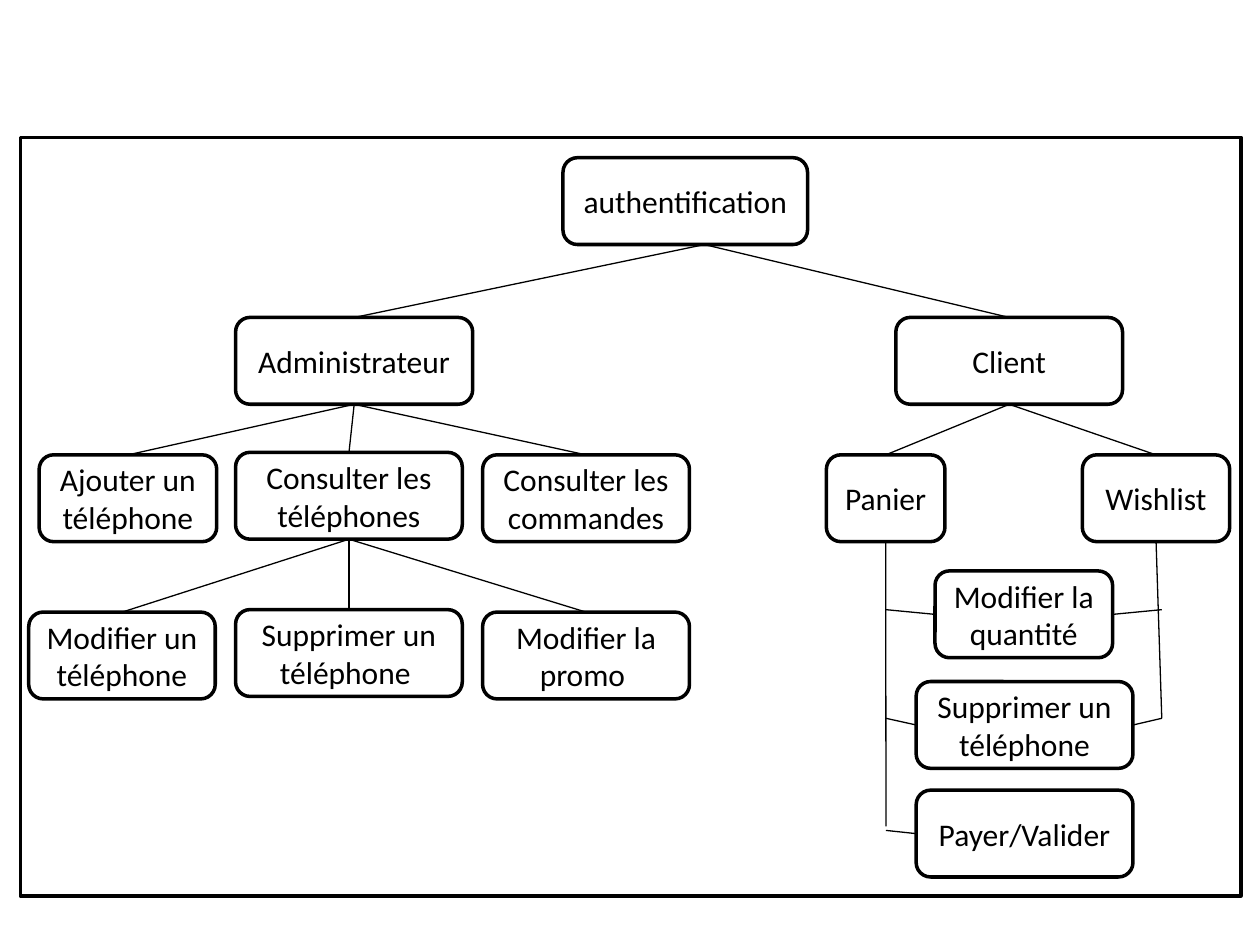
from dataclasses import dataclass

from lxml.etree import SubElement
from pptx import Presentation
from pptx.dml.color import RGBColor
from pptx.enum.shapes import MSO_CONNECTOR as CONN, MSO_SHAPE as SHAPE
from pptx.enum.text import MSO_ANCHOR as ANCHOR, PP_ALIGN as ALIGN
from pptx.oxml.ns import qn
from pptx.util import Cm, Pt

TOP, LEFT, BOTTOM, RIGHT = range(4)


@dataclass(frozen=True)
class Theme:
    ink: RGBColor = RGBColor(0, 0, 0)
    font: str = "Calibri"
    size: Pt = Pt(18)
    border: Pt = Pt(2)
    link: Pt = Pt(0.75)
    node_h: float = 1.75


THEME = Theme()


def add_outline(s, kind, x, y, w, h):
    sp = s.shapes.add_shape(kind, Cm(x), Cm(y), Cm(w), Cm(h))
    sp.shadow.inherit = False
    sp.fill.background()
    sp.line.color.rgb = THEME.ink
    sp.line.width = THEME.border
    return sp


def add_node(s, text, x, y, w):
    sp = add_outline(s, SHAPE.ROUNDED_RECTANGLE, x, y, w, THEME.node_h)
    tf = sp.text_frame
    tf.word_wrap = True
    tf.vertical_anchor = ANCHOR.MIDDLE
    tf.text = text
    p = tf.paragraphs[0]
    p.alignment = ALIGN.CENTER
    font = p.runs[0].font
    font.name, font.size = THEME.font, THEME.size
    font.color.rgb = THEME.ink
    return sp


def add_link(s, start, end):
    """Each end is a point (x, y) in cm or a pair (shape, side)."""
    free = [e if isinstance(e[0], (int, float)) else (0, 0) for e in (start, end)]
    c = s.shapes.add_connector(CONN.STRAIGHT, *(Cm(v) for pt in free for v in pt))
    for e, connect in ((start, c.begin_connect), (end, c.end_connect)):
        if not isinstance(e[0], (int, float)):
            connect(*e)
    c.line.color.rgb = THEME.ink
    c.line.width = THEME.link
    SubElement(c._element.spPr, qn("a:effectLst"))


def link_children(s, parent, children):
    for child in children:
        add_link(s, (child, TOP), (parent, BOTTOM))


def add_admin_branch(s, x, y):
    def node(text, dx, dy, w):
        return add_node(s, text, x + dx, y + dy, w)

    admin = node("Administrateur", 4.17, 0, 4.78)

    # Tasks of the administrator
    phones = node("Consulter les téléphones", 4.17, 2.72, 4.57)
    tasks = [
        node("Ajouter un téléphone", 0.21, 2.77, 3.58),
        phones,
        node("Consulter les commandes", 9.15, 2.77, 4.17),
    ]
    link_children(s, admin, tasks)

    # Actions on the phone list
    actions = [
        node("Modifier un téléphone", 0, 5.94, 3.76),
        node("Supprimer un téléphone ", 4.17, 5.89, 4.57),
        node("Modifier la promo ", 9.15, 5.94, 4.17),
    ]
    link_children(s, phones, actions)
    return admin


def add_client_branch(s, x, y):
    def node(text, dx, dy, w):
        return add_node(s, text, x + dx, y + dy, w)

    client = node("Client", 1.4, 0, 4.57)
    cart = node("Panier", 0, 2.77, 2.39)
    wishlist = node("Wishlist", 5.16, 2.77, 2.97)
    link_children(s, client, [cart, wishlist])

    quantity = node("Modifier la quantité", 2.19, 5.11, 3.58)
    remove = node("Supprimer un téléphone", 1.81, 7.34, 4.37)
    pay = node("Payer/Valider", 1.81, 9.53, 4.37)

    # Rails below the cart and the wishlist
    cart_x, wish_x = x + 1.2, x + 6.76
    add_link(s, (cart_x, y + 10.26), (cart, BOTTOM))
    add_link(s, (wish_x, y + 8.08), (wishlist, BOTTOM))

    # Stubs from the rails to the shared actions
    for action, dy in ((quantity, 5.89), (remove, 8.08), (pay, 10.34)):
        add_link(s, (cart_x, y + dy), (action, LEFT))
        if action is not pay:
            add_link(s, (action, RIGHT), (wish_x, y + dy))
    return client


def add_site_map(s, x, y, w, h):
    add_node(s, "authentification", x + 10.94, y + 0.41, 4.93)
    admin = add_admin_branch(s, x + 0.17, y + 3.63)
    client = add_client_branch(s, x + 16.25, y + 3.63)

    # Both branches leave from one point under the root
    fork = (x + 13.79, y + 2.16)
    for branch in (admin, client):
        add_link(s, fork, (branch, TOP))
    add_outline(s, SHAPE.RECTANGLE, x, y, w, h)


def main():
    prs = Presentation()
    prs.slide_width, prs.slide_height = Cm(25.4), Cm(19.05)
    s = prs.slides.add_slide(prs.slide_layouts[6])
    add_site_map(s, 0.41, 2.77, 24.61, 15.29)
    prs.save("out.pptx")


if __name__ == "__main__":
    main()
